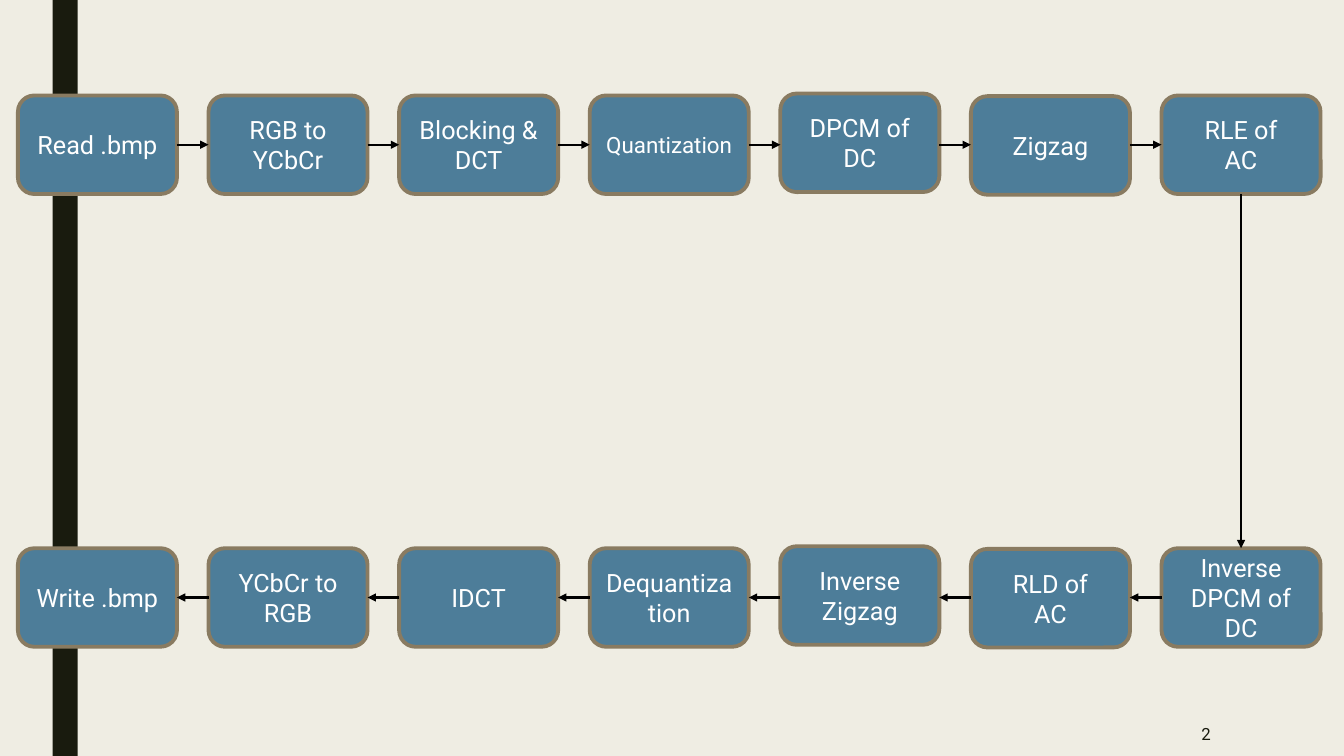
from lxml import etree
from pptx import Presentation
from pptx.dml.color import RGBColor
from pptx.enum.shapes import MSO_CONNECTOR, MSO_SHAPE
from pptx.enum.text import MSO_ANCHOR, PP_ALIGN
from pptx.oxml.ns import qn
from pptx.util import Pt

STRAIGHT = MSO_CONNECTOR.STRAIGHT
RECT, ROUNDED = MSO_SHAPE.RECTANGLE, MSO_SHAPE.ROUNDED_RECTANGLE
MIDDLE = MSO_ANCHOR.MIDDLE
CENTER, RIGHT = PP_ALIGN.CENTER, PP_ALIGN.RIGHT

CREAM = RGBColor(0xEF, 0xED, 0xE3)
DARK = RGBColor(0x19, 0x1B, 0x0E)
BLUE = RGBColor(0x4D, 0x7D, 0x99)
BROWN = RGBColor(0x89, 0x7B, 0x61)
WHITE = RGBColor(0xFF, 0xFF, 0xFF)
BLACK = RGBColor(0, 0, 0)


def write(sp, text, size=18, color=WHITE, align=CENTER):
    """Fill a shape with text, one paragraph per line."""
    tf = sp.text_frame
    tf.word_wrap = True
    tf.vertical_anchor = MIDDLE
    tf.text = text
    for p in tf.paragraphs:
        p.alignment = align
        p.font.name = "Roboto"
        p.font.size = Pt(size)
        p.font.color.rgb = color


def arrow(x1, y1, x2, y2):
    """Draw a black line with an arrowhead at its end."""
    c = s.shapes.add_connector(STRAIGHT, Pt(x1), Pt(y1), Pt(x2), Pt(y2))
    c.line.color.rgb = BLACK
    c.line.width = Pt(1.5)
    etree.SubElement(c.line._get_or_add_ln(), qn("a:tailEnd"), type="triangle")
    etree.SubElement(c._element.spPr, qn("a:effectLst"))


prs = Presentation()
prs.slide_width, prs.slide_height = Pt(960), Pt(540)
s = prs.slides.add_slide(prs.slide_layouts[6])
s.background.fill.solid()
s.background.fill.fore_color.rgb = CREAM

# Side bar
bar = s.shapes.add_shape(RECT, Pt(37.5), 0, Pt(18), Pt(540))
bar.shadow.inherit = False
bar.fill.solid()
bar.fill.fore_color.rgb = DARK
bar.line.fill.background()

# Steps, left to right: encoder above, decoder below
ENCODER = ["Read .bmp", "RGB to\nYCbCr", "Blocking &\nDCT", "Quantization",
           "DPCM of\nDC", "Zigzag", "RLE of\nAC"]
DECODER = ["Write .bmp", "YCbCr to\nRGB", "IDCT", "Dequantiza\ntion",
           "Inverse\nZigzag", "RLD of\nAC", "Inverse DPCM of DC"]
LEFT, PITCH, BOX_W, BOX_H = 12.8, 136.15, 113.6, 70.4
ENCODER_TOP, DECODER_TOP = 68.2, 391.6
NUDGE = {4: -1.4, 5: 0.5}  # small vertical offsets by column

for top, steps in ((ENCODER_TOP, ENCODER), (DECODER_TOP, DECODER)):
    for i, step in enumerate(steps):
        sp = s.shapes.add_shape(ROUNDED, Pt(LEFT + i * PITCH),
                                Pt(top + NUDGE.get(i, 0)), Pt(BOX_W), Pt(BOX_H))
        sp.shadow.inherit = False
        sp.fill.solid()
        sp.fill.fore_color.rgb = BLUE
        sp.line.color.rgb = BROWN
        sp.line.width = Pt(2.75)
        write(sp, step, size=16 if step == "Quantization" else 18)

# Arrows: right along the encoder, down, left along the decoder
for i in range(len(ENCODER) - 1):
    x1, x2 = LEFT + i * PITCH + BOX_W, LEFT + (i + 1) * PITCH
    y1, y2 = ENCODER_TOP + BOX_H / 2, DECODER_TOP + BOX_H / 2
    arrow(x1, y1, x2, y1)
    arrow(x2, y2, x1, y2)
x = LEFT + 6 * PITCH + BOX_W / 2
arrow(x, ENCODER_TOP + BOX_H, x, DECODER_TOP)

# Slide number
number = s.shapes.add_textbox(Pt(746), Pt(508.5), Pt(126), Pt(31.5))
write(number, "2", size=12, color=DARK, align=RIGHT)

prs.save("out.pptx")
